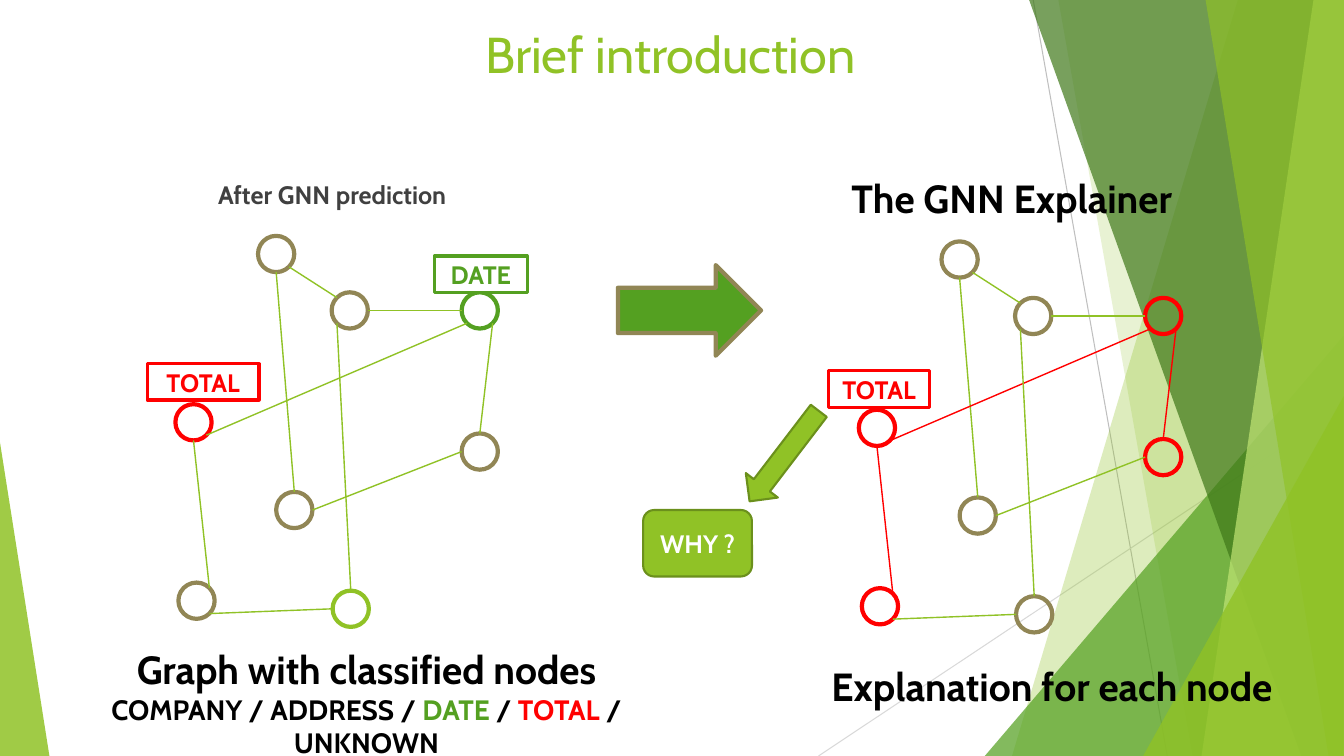
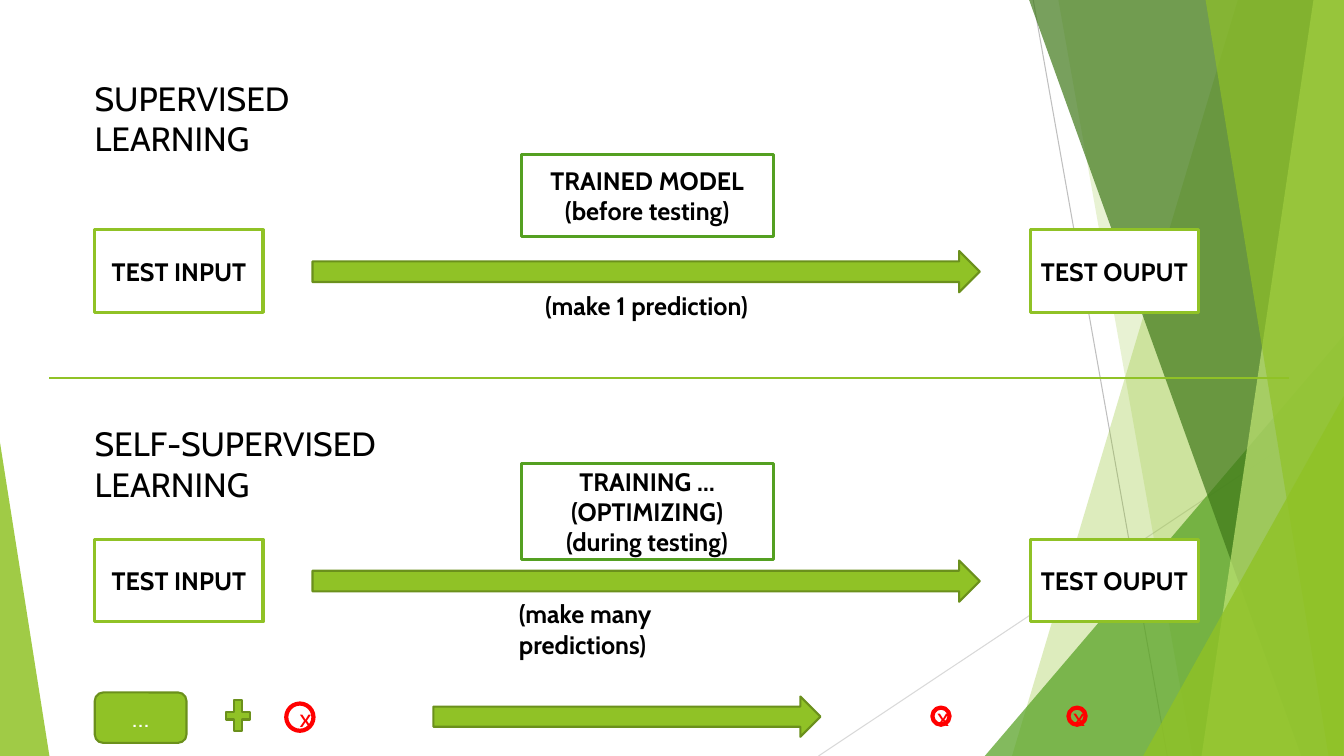
"""Build two slides on explaining and testing graph neural networks."""
from dataclasses import dataclass
from itertools import count
from math import sqrt

from lxml import etree
from pptx import Presentation
from pptx import util as u
from pptx.dml.color import RGBColor
from pptx.enum import shapes, text
from pptx.oxml import ns

Kind = shapes.MSO_SHAPE
Align = text.PP_ALIGN
Anchor = text.MSO_ANCHOR


@dataclass(frozen=True)
class Theme:
    """Colours, type sizes and line widths shared by the slides."""
    font: str = "Cabin"
    lime: str = "90C226"
    leaf: str = "54A021"
    pine: str = "3F7819"
    pale: str = "C0E474"
    moss: str = "6B901C"
    sand: str = "918655"
    red: str = "FF0000"
    black: str = "000000"
    grey: str = "404040"
    mist: str = "BFBFBF"
    haze: str = "D9D9D9"
    white: str = "FFFFFF"
    title: int = 36
    head: int = 28
    sect: int = 24
    sub: int = 20
    base: int = 18
    hair: float = 0.75
    thin: float = 1
    edge: float = 1.5
    frame: float = 2.25
    ring: float = 3


T = Theme()
WIDE, HIGH = 133.33, 75
NODE = 3.6
DIAG = 1 / sqrt(2)
SITES = {"N": (0, -1), "S": (0, 1), "W": (-1, 0), "E": (1, 0),
         "NW": (-DIAG, -DIAG), "NE": (DIAG, -DIAG),
         "SW": (-DIAG, DIAG), "SE": (DIAG, DIAG)}
NODES = {"total": (17.4, 40.1), "top": (25.6, 23.4), "right": (45.8, 43),
         "hub": (32.9, 29), "left": (17.7, 57.8), "mid": (27.4, 48.8),
         "date": (45.8, 29), "low": (33, 58.6)}
EDGES = [("top", "S", "mid", "N"), ("total", "SE", "date", "SW"),
         ("date", "SE", "right", "N"), ("left", "NE", "total", "S"),
         ("left", "SE", "low", "W"), ("mid", "E", "right", "W"),
         ("hub", "E", "date", "W"), ("hub", "NW", "top", "SE"),
         ("hub", "SW", "low", "N")]


def cell(n):
    """Turn grid columns or rows into a length."""
    return u.Inches(n / 10)


def rgb(ink):
    """Turn a hex string into a colour."""
    return RGBColor.from_string(ink)


class Deck:
    """Hold the style and the current slide, and draw elements on its grid."""

    def __init__(self):
        """Open an empty deck of the right size."""
        self.prs = Presentation()
        self.prs.slide_width, self.prs.slide_height = cell(WIDE), cell(HIGH)
        self.page = None

    def start(self, layout):
        """Add a slide and make it current."""
        self.page = self.prs.slides.add_slide(self.prs.slide_layouts[layout])

    def style(self, frame, size, ink=T.black, bold=False, align=Align.CENTER,
              before=0, lead=1):
        """Format every paragraph and run of a text frame."""
        for para in frame.paragraphs:
            para.alignment = align
            para.space_before, para.line_spacing = u.Pt(before), lead
            for run in para.runs:
                font = run.font
                font.name, font.size, font.bold = T.font, u.Pt(size), bold
                font.color.rgb = rgb(ink)

    def paint(self, shape, fill, line, width, alpha=100):
        """Set the fill and outline of a shape."""
        shape.shadow.inherit = False
        if fill:
            shape.fill.solid()
            shape.fill.fore_color.rgb = rgb(fill)
            if alpha < 100:
                tint = shape.element.spPr.find(".//" + ns.qn("a:srgbClr"))
                node = etree.SubElement(tint, ns.qn("a:alpha"))
                node.set("val", str(alpha * 1000))
        else:
            shape.fill.background()
        if line:
            shape.line.color.rgb = rgb(line)
            shape.line.width = u.Pt(width)
        else:
            shape.line.fill.background()
        return shape

    def shape(self, kind, box, fill=None, line=None, width=T.edge, words="",
              ink=T.black, bold=True, alpha=100):
        """Draw a preset shape with centred words."""
        shape = self.page.shapes.add_shape(kind, *map(cell, box))
        self.paint(shape, fill, line, width, alpha)
        if words:
            frame = shape.text_frame
            frame.text, frame.vertical_anchor = words, Anchor.MIDDLE
            self.style(frame, T.base, ink, bold)
        return shape

    def solid(self, kind, box, words="", bold=True):
        """Draw a lime shape with a moss outline."""
        return self.shape(kind, box, T.lime, T.moss, T.edge, words, T.white, bold)

    def label(self, box, words, line, ink=T.black):
        """Draw a white box with a coloured frame."""
        return self.shape(Kind.RECTANGLE, box, T.white, line, T.frame, words, ink)

    def ring(self, box, ink, words=""):
        """Draw an open circle."""
        return self.shape(Kind.OVAL, box, None, ink, T.ring, words, ink, False)

    def poly(self, points, fill, alpha):
        """Draw a filled outline through the points."""
        spots = [tuple(map(cell, p)) for p in points]
        build = self.page.shapes.build_freeform(*spots[0], scale=1.0)
        build.add_line_segments(spots[1:])
        return self.paint(build.convert_to_shape(), fill, None, 0, alpha)

    def line(self, head, tail, ink, width=T.thin):
        """Draw a straight line."""
        line = self.page.shapes.add_connector(
            shapes.MSO_CONNECTOR.STRAIGHT, *map(cell, (*head, *tail)))
        line.line.color.rgb, line.line.width = rgb(ink), u.Pt(width)
        etree.SubElement(line.element.spPr, ns.qn("a:effectLst"))
        return line

    def note(self, box, words, size, **look):
        """Place free text."""
        frame = self.page.shapes.add_textbox(*map(cell, box)).text_frame
        frame.word_wrap, frame.text = True, words
        self.style(frame, size, **look)
        return frame

    def holder(self, index, box, words, size, **look):
        """Fill and move a placeholder of the template."""
        spot = self.page.placeholders[index]
        spot.left, spot.top, spot.width, spot.height = map(cell, box)
        frame = spot.text_frame
        frame.text, frame.vertical_anchor = words, Anchor.TOP
        frame.auto_size = text.MSO_AUTO_SIZE.NONE
        self.style(frame, size, **look)
        for para in frame.paragraphs:
            props = para._p.get_or_add_pPr()
            props.set("marL", "0")
            props.set("indent", "0")
            etree.SubElement(props, ns.qn("a:buNone"))

    def mix(self, para, parts):
        """Write one paragraph in several colours."""
        for words, ink in parts:
            run = para.add_run()
            run.text = words
            font = run.font
            font.name, font.size, font.bold = T.font, u.Pt(T.sub), True
            font.color.rgb = rgb(ink)

    def wedge(self, box, side, fill, alpha):
        """Draw a right triangle with its tip at the given side."""
        shape = self.shape(Kind.ISOSCELES_TRIANGLE, box, fill, alpha=alpha)
        shape.adjustments[0] = side
        return shape

    def band(self, top, foot, fill, alpha):
        """Draw a band from a slanted edge to the right side."""
        return self.poly([(top, 0), (WIDE, 0), (WIDE, HIGH), (foot, HIGH)],
                         fill, alpha)

    def scene(self):
        """Draw the facets and move them to the master."""
        parts = [
            self.line((102.5, 0), (115.8, HIGH), T.mist, T.hair),
            self.line((WIDE, 40.3), (81.2, HIGH), T.haze, T.hair),
            self.band(122.8, 100.4, T.lime, 30),
            self.band(105, 118.3, T.lime, 20),
            self.wedge((97.7, 33.3, 35.6, 41.7), 1, T.leaf, 72),
            self.band(102.1, 129.1, T.pine, 70),
            self.band(130.3, 119.2, T.pale, 70),
            self.band(119.6, 131.8, T.lime, 65),
            self.wedge((113.4, 39.3, 19.9, 35.7), 1, T.lime, 80),
            self.wedge((0, 43.9, 4.9, 31.1), 0, T.lime, 85)]
        tree = self.prs.slide_master.shapes.element
        for spot, part in zip(count(2), parts):
            part.element.xpath(".//p:cNvPr")[0].set("id", str(100 + spot))
            tree.insert(spot, part.element)

    def graph(self, shift, inks, hot=()):
        """Draw the node graph, with its hot edges in red."""
        spots = {name: (x + shift[0], y + shift[1])
                 for name, (x, y) in NODES.items()}
        for name, spot in spots.items():
            self.ring((*spot, NODE, NODE), inks.get(name, T.sand))

        def port(name, site):
            """Find a point on the rim of a node."""
            return [a + NODE / 2 * (1 + d) for a, d in zip(spots[name], SITES[site])]

        for one, out, two, into in EDGES:
            ink = T.red if (one, two) in hot else T.lime
            self.line(port(one, out), port(two, into), ink)

    def flow(self, top, model, tall):
        """Draw a row from test input through a model to test output."""
        for left, words in ((9.4, "TEST INPUT"), (102.2, "TEST OUPUT")):
            self.label((left, top, 16.7, 8.2), words, T.lime)
        self.solid(Kind.RIGHT_ARROW, (31, top + 2.1, 66.2, 4.1))
        self.label((51.7, top - 7.5, 25, tall), model, T.leaf)


def intro(deck):
    """Build the slide on the explainer."""
    deck.start(1)
    deck.scene()
    deck.holder(0, (9, 1.8, 115, 14.5), "Brief introduction", T.title, ink=T.lime)
    deck.holder(1, (9, 17.3, 47.9, 5.3), "After GNN prediction", T.base,
                ink=T.grey, bold=True, before=10)
    deck.note((76.4, 17.3, 47.9, 5.4), "The GNN Explainer", T.head,
              bold=True, before=10, lead=0.9)
    deck.graph((0, 0), {"total": T.red, "date": T.leaf, "low": T.lime})
    foot = deck.note((3.6, 63.5, 65.5, 9.1), "Graph with classified nodes",
                     T.head, bold=True)
    para = foot.add_paragraph()
    para.alignment = Align.CENTER
    deck.mix(para, [("COMPANY / ADDRESS / ", T.black), ("DATE", T.leaf),
                    (" / ", T.black), ("TOTAL", T.red), (" / UNKNOWN", T.black)])
    deck.shape(Kind.RIGHT_ARROW, (61.3, 26.3, 14.2, 9), T.leaf, T.sand, T.ring)
    deck.graph((67.8, 0.55),
               dict.fromkeys(("total", "right", "left", "date"), T.red),
               {("total", "date"), ("date", "right"), ("left", "total")})
    for box, words, ink in (((14.6, 36.1, 11.1, 3.6), "TOTAL", T.red),
                            ((43.1, 25.4, 9.2, 3.6), "DATE", T.leaf),
                            ((82.2, 36.8, 10, 3.6), "TOTAL", T.red)):
        deck.label(box, words, ink, ink)
    deck.note((81, 65.2, 46.7, 5.7), "Explanation for each node", T.head, bold=True)
    deck.solid(Kind.DOWN_ARROW, (75.8, 39.6, 4, 11.3)).rotation = 37.4
    deck.solid(Kind.ROUNDED_RECTANGLE, (63.8, 50.6, 10.8, 6.6), "WHY ?")


def modes(deck):
    """Build the slide on the two ways of learning."""
    deck.start(6)
    deck.flow(22.8, "TRAINED MODEL\n(before testing)", 8.2)
    deck.flow(53.5, "TRAINING …\n(OPTIMIZING)\n(during testing)", 9.5)
    for box, words in (((53.1, 28.3, 24, 4), "(make 1 prediction)"),
                       ((50.5, 58.9, 22, 7), "(make many predictions)")):
        deck.note(box, words, T.base, bold=True, align=Align.LEFT)
    deck.line((4.9, 37.5), (127.9, 37.5), T.lime)
    for box, words in (((8.4, 7.2, 34.3, 5), "SUPERVISED LEARNING"),
                       ((8.4, 41.5, 43.3, 5), "SELF-SUPERVISED LEARNING")):
        deck.note(box, words, T.sect, align=Align.LEFT)
    deck.solid(Kind.ROUNDED_RECTANGLE, (9.4, 68.7, 9.1, 5), "…", False)
    deck.solid(Kind.MATH_PLUS, (22, 68.9, 3.2, 4.2))
    deck.solid(Kind.RIGHT_ARROW, (43, 69.1, 38.4, 4))
    for left, top, size in ((28.4, 69.8, 2.7), (92.5, 70.2, 1.7), (106, 70.2, 1.7)):
        deck.ring((left, top, size, size), T.red, "x")


def main():
    """Build and save the deck."""
    deck = Deck()
    intro(deck)
    modes(deck)
    deck.prs.save("out.pptx")


if __name__ == "__main__":
    main()
